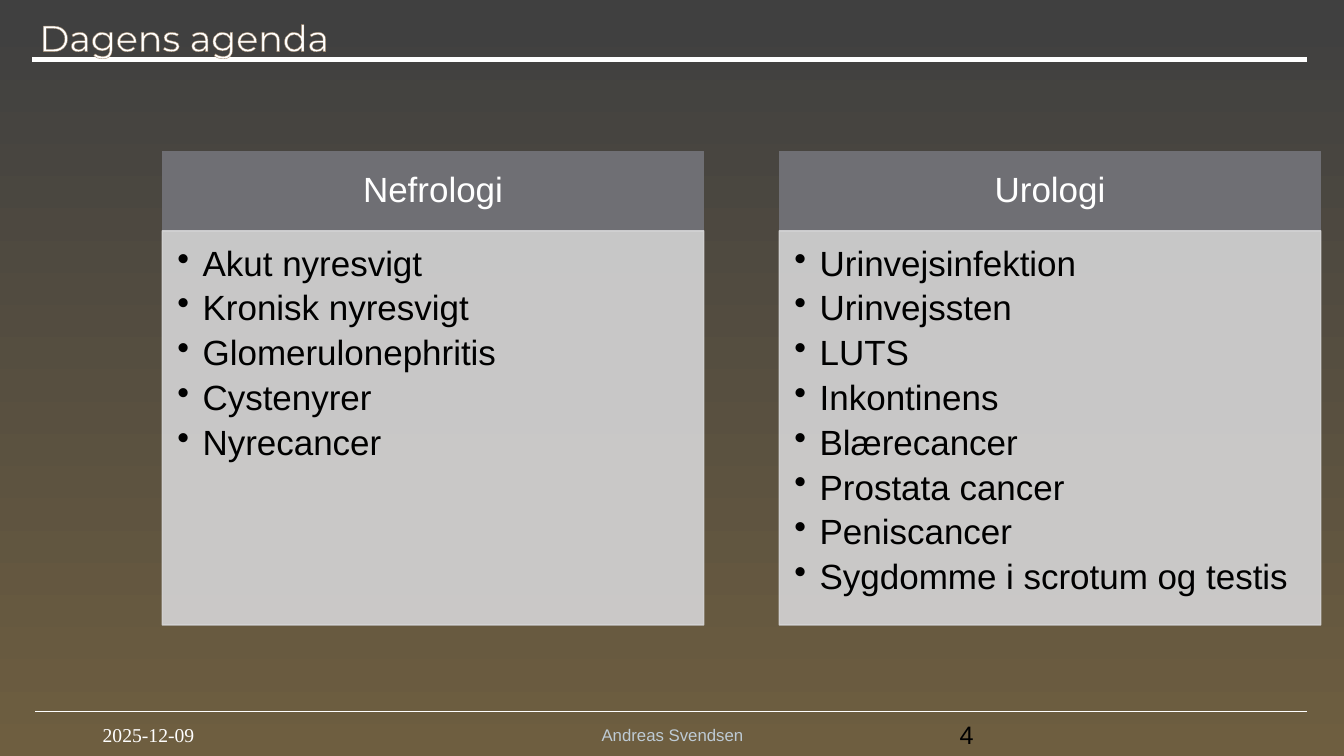
import pptx
import pptx.util
import pptx.dml.color
import pptx.enum.shapes
import pptx.enum.text
import pptx.oxml
import pptx.oxml.ns
import lxml.etree

Inches = pptx.util.Inches
Pt = pptx.util.Pt
RGBColor = pptx.dml.color.RGBColor
ANCHOR = pptx.enum.text.MSO_ANCHOR
ALIGN = pptx.enum.text.PP_ALIGN
qn = pptx.oxml.ns.qn

WHITE = RGBColor(0xFF, 0xFF, 0xFF)
BLACK = RGBColor(0, 0, 0)
CHARCOAL = RGBColor(0x40, 0x40, 0x40)
BROWN = RGBColor(0x6E, 0x5E, 0x40)
HEADER_GREY = RGBColor(0x6F, 0x6F, 0x74)
BODY_GREY = RGBColor(0xD5, 0xD5, 0xD6)
FOOTER_BLUE = RGBColor(0xBE, 0xCB, 0xD5)

COLUMNS = [
    ("Nefrologi", ["Akut nyresvigt", "Kronisk nyresvigt", "Glomerulonephritis",
                   "Cystenyrer", "Nyrecancer"]),
    ("Urologi", ["Urinvejsinfektion", "Urinvejssten", "LUTS", "Inkontinens",
                 "Blærecancer", "Prostata cancer", "Peniscancer",
                 "Sygdomme i scrotum og testis"]),
]


def style_font(para, name, size, color):
    for span in para.runs:
        span.font.name = name
        span.font.size = Pt(size)
        span.font.color.rgb = color


def add_panel(left, top, height, color, insets):
    panel = slide.shapes.add_shape(pptx.enum.shapes.MSO_SHAPE.RECTANGLE,
                                   Inches(left), Inches(top), Inches(5.37), Inches(height))
    panel.shadow.inherit = False
    panel.fill.solid()
    panel.fill.fore_color.rgb = color
    panel.line.color.rgb = color
    panel.line.width = Pt(1)
    frame = panel.text_frame
    frame.word_wrap = True
    frame.margin_left, frame.margin_top, frame.margin_right, frame.margin_bottom = map(Inches, insets)
    return panel


deck = pptx.Presentation()
deck.slide_width = Inches(13.33)
deck.slide_height = Inches(7.5)
slide = deck.slides.add_slide(deck.slide_layouts[5])

# Background gradient, dark at the top
background = slide.background.fill
background.gradient()
background.gradient_angle = 270
for stop, position, color in zip(background.gradient_stops, (0.02, 1), (CHARCOAL, BROWN)):
    stop.position = position
    stop.color.rgb = color

# Title with outlined letters
title = slide.shapes.title
title.left, title.top, title.width, title.height = map(Inches, (0.39, 0.2, 6.41, 0.39))
frame = title.text_frame
frame.text = "Dagens agenda"
frame.margin_left = frame.margin_top = frame.margin_right = frame.margin_bottom = 0
frame.vertical_anchor = ANCHOR.BOTTOM
para = frame.paragraphs[0]
para.alignment = ALIGN.LEFT
para.line_spacing = 0.9
style_font(para, "Montserrat", 26, WHITE)
outline = pptx.oxml.parse_xml(
    '<a:ln xmlns:a="http://schemas.openxmlformats.org/drawingml/2006/main" w="9525">'
    '<a:solidFill><a:srgbClr val="9C8265"/></a:solidFill></a:ln>')
para.runs[0].font._element.insert(0, outline)

# Rules under the title and above the footer, behind the title
for left, top, weight in ((0.32, 0.59, 3.5), (0.35, 7.06, 1)):
    rule = slide.shapes.add_connector(pptx.enum.shapes.MSO_CONNECTOR.STRAIGHT,
                                      Inches(left), Inches(top), Inches(12.96), Inches(top))
    rule.line.color.rgb = WHITE
    rule.line.width = Pt(weight)
    lxml.etree.SubElement(rule.element.spPr, qn("a:effectLst"))
    title.element.addprevious(rule.element)

# Agenda columns: header above a translucent list
for index, (heading, topics) in enumerate(COLUMNS):
    left = 1.61 + index * 6.12
    header = add_panel(left, 1.5, 0.79, HEADER_GREY, (0.19, 0.11, 0.19, 0.11))
    header.text_frame.text = heading
    header.text_frame.vertical_anchor = ANCHOR.MIDDLE
    para = header.text_frame.paragraphs[0]
    para.alignment = ALIGN.CENTER
    para.line_spacing = 0.9
    style_font(para, "Arial", 25, WHITE)

    body = add_panel(left, 2.29, 3.91, BODY_GREY, (0.15, 0.15, 0.19, 0.22))
    for color in body.element.spPr.iter(qn("a:srgbClr")):
        lxml.etree.SubElement(color, qn("a:alpha"), val="90000")
    body.text_frame.vertical_anchor = ANCHOR.TOP
    body.text_frame.text = "\n".join(topics)
    for para in body.text_frame.paragraphs:
        para.alignment = ALIGN.LEFT
        para.level = 1
        para.line_spacing = 0.9
        para.space_after = Pt(5)
        properties = para._p.get_or_add_pPr()
        properties.set("marL", str(Inches(0.25)))
        properties.set("indent", str(Inches(-0.25)))
        lxml.etree.SubElement(properties, qn("a:buChar"), char="•")
        style_font(para, "Arial", 25, BLACK)

# Footer: author, slide number, date
for text, left, width, align, font, size, color in (
    ("Andreas Svendsen", 4.42, 4.5, ALIGN.CENTER, "Arial", 12, FOOTER_BLUE),
    ("4", 9.42, 3, ALIGN.LEFT, "Arial", 18, BLACK),
    ("2025-12-09", 0.92, 3, ALIGN.LEFT, "Times New Roman", 14, WHITE),
):
    box = slide.shapes.add_textbox(Inches(left), Inches(7.09), Inches(width), Inches(0.4))
    box.text_frame.word_wrap = True
    box.text_frame.vertical_anchor = ANCHOR.MIDDLE
    box.text_frame.text = text
    para = box.text_frame.paragraphs[0]
    para.alignment = align
    style_font(para, font, size, color)

deck.save("out.pptx")
